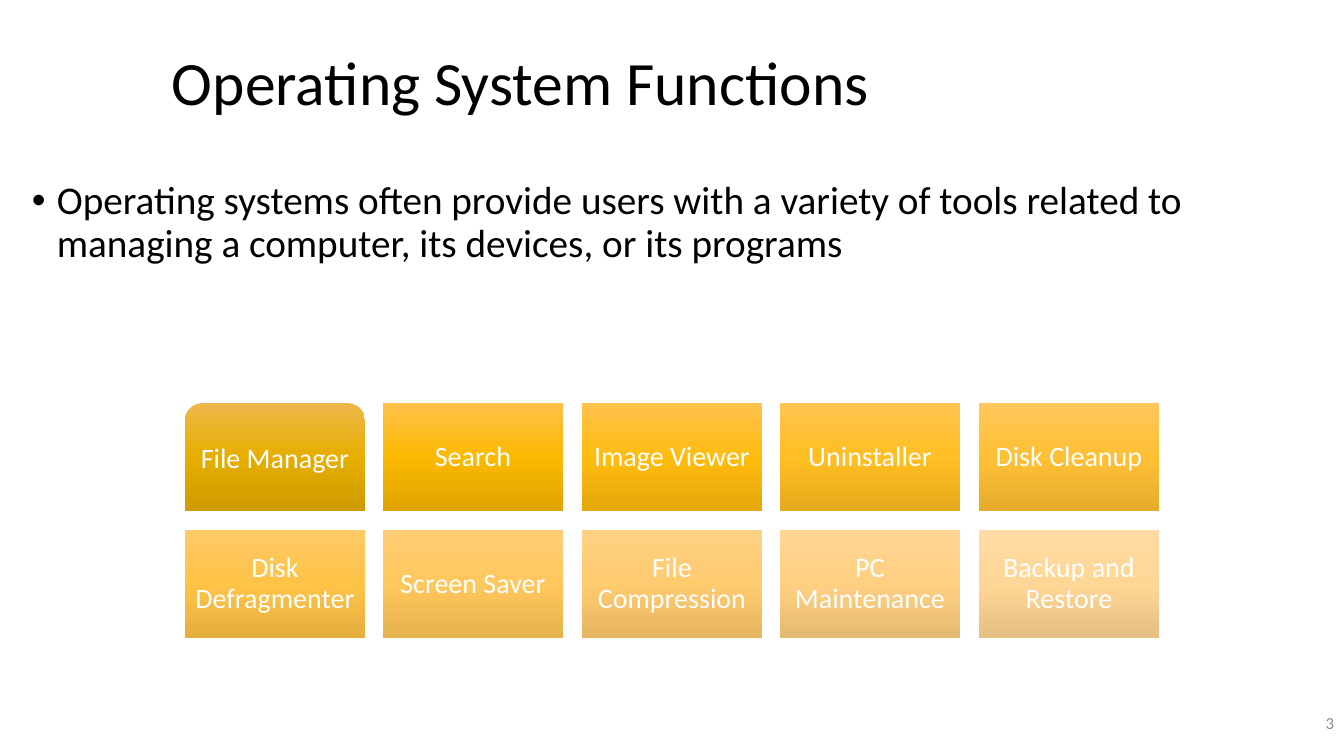
"""Build the slide on operating system functions."""
import copy

import lxml.etree
import pptx
import pptx.dml.color
import pptx.enum.shapes
import pptx.enum.text
import pptx.oxml.ns
import pptx.util

EMU_PER_PX = 12192000 / 1344
SLIDE_SIZE = (1344, 756)
SHAPES = pptx.enum.shapes.MSO_SHAPE
ALIGN = pptx.enum.text.PP_ALIGN
ANCHOR = pptx.enum.text.MSO_ANCHOR

COLUMNS = 5
GRID_LEFT, GRID_TOP, GRID_WIDTH = 185, 403, 974
TILE_WIDTH, TILE_HEIGHT, ROW_STEP = 180, 108, 127
TOOLS = [
    ("File Manager", ("EDB84B", "E7AE00", "CE9B00")),
    ("Search", ("FFC14B", "FBB900", "DFA400")),
    ("Image Viewer", ("FFC24D", "FFBC0F", "E5A80B")),
    ("Uninstaller", ("FFC452", "FFBE22", "E5AA1C")),
    ("Disk Cleanup", ("FFC75B", "FFC035", "E5AC2D")),
    ("Disk Defragmenter", ("FFCA67", "FFC348", "E5AE3E")),
    ("Screen Saver", ("FFCD75", "FFC75C", "E5B24F")),
    ("File Compression", ("FFD184", "FFCB6F", "E5B560")),
    ("PC Maintenance", ("FFD694", "FFD082", "E5BA71")),
    ("Backup and Restore", ("FFDBA5", "FFD695", "E5BE82")),
]


def px(length):
    """Turn a pixel length into EMU."""
    return pptx.util.Emu(round(length * EMU_PER_PX))


def color(hex_value):
    """Turn a hex string into a colour."""
    return pptx.dml.color.RGBColor.from_string(hex_value)


def set_attributes(target, values):
    """Set each named value on the target."""
    for name, value in values.items():
        setattr(target, name, value)


def add_bullet(paragraph, indent):
    """Give the paragraph a round bullet with a hanging indent."""
    properties = paragraph._p.get_or_add_pPr()
    properties.set("marL", str(px(indent)))
    properties.set("indent", str(-px(indent)))
    for tag, name, value in (("a:buFont", "typeface", "Arial"), ("a:buChar", "char", "•")):
        bullet = lxml.etree.SubElement(properties, pptx.oxml.ns.qn(tag))
        bullet.set(name, value)


def write_text(shape, text, size, hex_value, frame_format, paragraph_format, indent=0):
    """Write one formatted paragraph into the shape."""
    frame = shape.text_frame
    set_attributes(frame, {"word_wrap": True, **frame_format})
    paragraph = frame.paragraphs[0]
    if indent:
        add_bullet(paragraph, indent)
    set_attributes(paragraph, paragraph_format)
    run = paragraph.add_run()
    run.text = text
    set_attributes(run.font, {"name": "Calibri", "size": pptx.util.Pt(size)})
    run.font.color.rgb = color(hex_value)


def add_text(slide, box, *text_arguments, **options):
    """Add a text box with one paragraph."""
    shape = slide.shapes.add_textbox(*map(px, box))
    write_text(shape, *text_arguments, **options)


def fill_gradient(shape, hex_values):
    """Fill the shape with evenly spaced colours from top to bottom."""
    shape.fill.gradient()
    shape.fill.gradient_angle = 270
    stop_list = shape._element.spPr.find(".//" + pptx.oxml.ns.qn("a:gsLst"))
    stop_list.append(copy.deepcopy(stop_list[-1]))
    for index, (stop, hex_value) in enumerate(zip(shape.fill.gradient_stops, hex_values)):
        stop.color.rgb = color(hex_value)
        stop.position = index / (len(hex_values) - 1)


def add_tile(slide, index, label, hex_values):
    """Add one tool tile at its place in the grid."""
    row, column = divmod(index, COLUMNS)
    left = GRID_LEFT + column * (GRID_WIDTH - TILE_WIDTH) // (COLUMNS - 1)
    box = (left, GRID_TOP + row * ROW_STEP, TILE_WIDTH, TILE_HEIGHT)
    kind = SHAPES.RECTANGLE if index else SHAPES.ROUND_2_SAME_RECTANGLE
    tile = slide.shapes.add_shape(kind, *map(px, box))
    tile.shadow.inherit = False
    tile.line.fill.background()
    fill_gradient(tile, hex_values)
    margins = {f"margin_{side}": px(8) for side in ("left", "top", "right", "bottom")}
    write_text(tile, label, 20, "FFFFFF",
               {"vertical_anchor": ANCHOR.MIDDLE, **margins},
               {"alignment": ALIGN.CENTER, "line_spacing": 0.9})


def main():
    """Build and save the slide."""
    presentation = pptx.Presentation()
    presentation.slide_width, presentation.slide_height = map(px, SLIDE_SIZE)
    slide = presentation.slides.add_slide(presentation.slide_layouts[6])
    middle = {"vertical_anchor": ANCHOR.MIDDLE}
    add_text(slide, (162, 13, 1159, 146), "Operating System Functions", 44, "000000",
             middle, {"line_spacing": 0.9})
    add_text(slide, (22, 176, 1299, 512),
             "Operating systems often provide users with a variety of tools related to "
             "managing a computer, its devices, or its programs",
             28, "000000", {"vertical_anchor": ANCHOR.TOP}, {"line_spacing": 0.9}, indent=25)
    add_text(slide, (1254, 689, 90, 67), "3", 12, "8C8C8C", middle,
             {"alignment": ALIGN.RIGHT})
    for index, (label, hex_values) in enumerate(TOOLS):
        add_tile(slide, index, label, hex_values)
    presentation.save("out.pptx")


if __name__ == "__main__":
    main()
